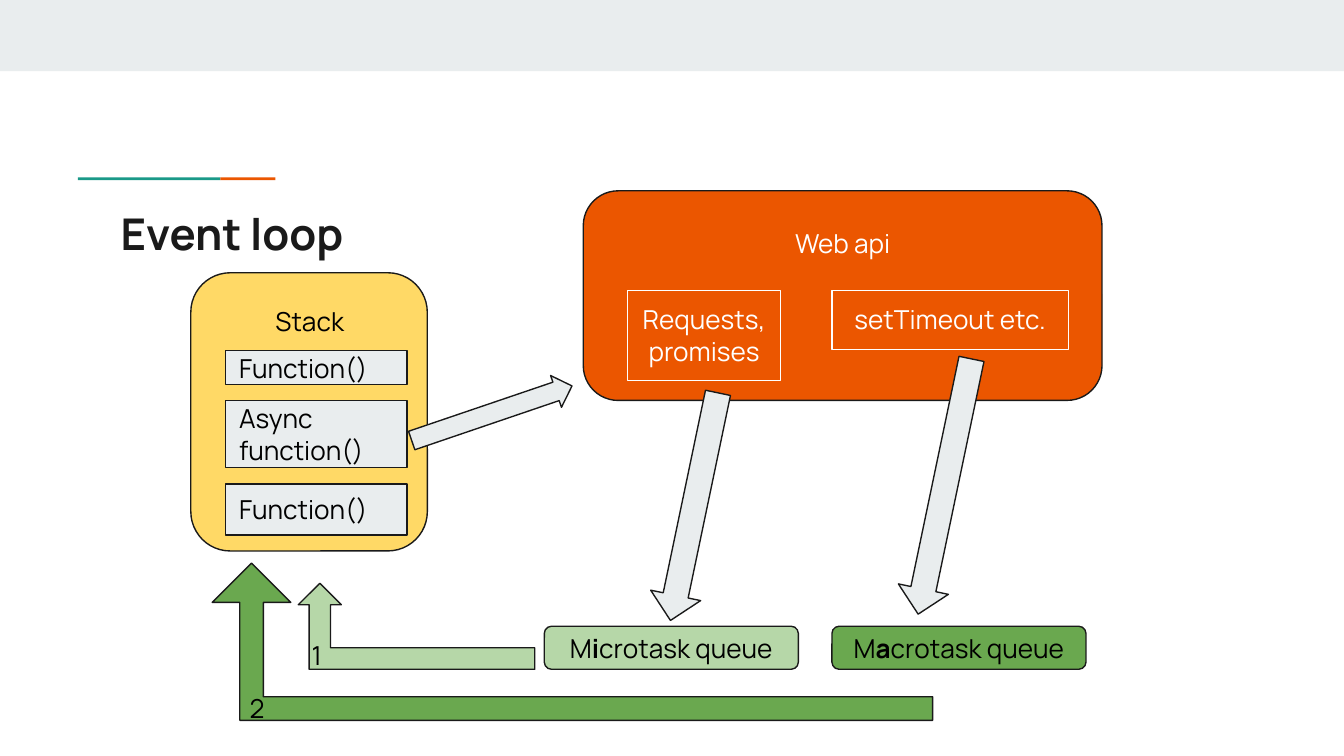
from dataclasses import dataclass

from pptx import Presentation
from pptx import util as u
from pptx.dml.color import RGBColor
from pptx.enum import shapes, text

PX = 9144  # EMU per px, 100 px to the inch
KIND = shapes.MSO_SHAPE


@dataclass(frozen=True)
class Theme:
    font: str = "Manrope"
    title_size: float = 23.4
    body_size: float = 14
    line_width: float = 0.75
    ink: str = "1A1A1A"
    black: str = "000000"
    white: str = "FFFFFF"
    mist: str = "E9EDEE"
    teal: str = "1A9988"
    orange: str = "EB5600"
    yellow: str = "FFD966"
    light_green: str = "B6D7A8"
    green: str = "6AA84F"


THEME = Theme()


def rgb(color):
    return RGBColor.from_string(color)


def place(box, left, top, width, height):
    """Turn a place inside a region into a place on the slide."""
    return box[0] + left, box[1] + top, width, height


def write(frame, runs, color=THEME.black, size=THEME.body_size,
          align=text.PP_ALIGN.LEFT, anchor=text.MSO_ANCHOR.TOP):
    """Write (wording, bold) runs; a newline in the wording breaks the line."""
    margins = {f"margin_{side}": 10 * PX for side in ("left", "top", "right", "bottom")}
    for name, value in {**margins, "word_wrap": True, "vertical_anchor": anchor}.items():
        setattr(frame, name, value)
    paragraph = frame.paragraphs[0]
    paragraph.alignment = align
    for wording, bold in runs:
        for number, line in enumerate(wording.split("\n")):
            if number:
                paragraph.add_line_break()
            run = paragraph.add_run()
            run.text = line
            for name, value in {"name": THEME.font, "size": u.Pt(size), "bold": bold}.items():
                setattr(run.font, name, value)
            run.font.color.rgb = rgb(color)


def add_label(slide, box, wording, bold=False, **style):
    label = slide.shapes.add_textbox(*(n * PX for n in box))
    write(label.text_frame, [(wording, bold)], **style)


def add_block(slide, kind, box, fill=None, line=THEME.ink, adjust=(), turn=0):
    block = slide.shapes.add_shape(kind, *(n * PX for n in box))
    block.shadow.inherit = False
    block.rotation = turn
    for number, value in enumerate(adjust):
        block.adjustments[number] = value
    if fill:
        block.fill.solid()
        block.fill.fore_color.rgb = rgb(fill)
    else:
        block.fill.background()
    if line:
        block.line.color.rgb = rgb(line)
        block.line.width = u.Pt(THEME.line_width)
    else:
        block.line.fill.background()
    return block


def add_header(slide, box):
    # Top band
    add_block(slide, KIND.RECTANGLE, place(box, 0, 0, box[2], 53), THEME.mist, None)
    # Two-colour rule
    for left, width, color in ((58, 106, THEME.teal), (164, 41, THEME.orange)):
        add_block(slide, KIND.RECTANGLE, place(box, left, 132, width, 2), color, None)
    # Title
    add_label(slide, place(box, 80, 144, 223, 59), "Event loop", bold=True,
              color=THEME.ink, size=THEME.title_size)


def add_stack(slide, box):
    add_block(slide, KIND.ROUNDED_RECTANGLE, box, THEME.yellow)
    add_label(slide, place(box, 34, 14, 109, 44), "Stack", align=text.PP_ALIGN.CENTER)
    # Calls, stacked with an equal gap
    top, gap = 58, 12
    for wording, height in (("Function()", 25), ("Async function()", 50), ("Function()", 38)):
        call = add_block(slide, KIND.RECTANGLE, place(box, 26, top, 135, height), THEME.mist)
        write(call.text_frame, [(wording, False)], anchor=text.MSO_ANCHOR.MIDDLE)
        top += height + gap


def add_web_api(slide, box):
    add_block(slide, KIND.ROUNDED_RECTANGLE, box, THEME.orange)
    style = {"color": THEME.white, "align": text.PP_ALIGN.CENTER}
    add_label(slide, place(box, 105, 17, 176, 44), "Web api", **style)
    # Outlined kinds of task
    for wording, left, width, height in (("Requests,\npromises", 33, 114, 67),
                                         ("setTimeout etc.", 185, 176, 44)):
        task = add_block(slide, KIND.RECTANGLE, place(box, left, 74, width, height),
                         line=THEME.white)
        write(task.text_frame, [(wording, False)], **style)


def add_queues(slide, box):
    for vowel, left, color in (("i", 0, THEME.light_green), ("a", 214, THEME.green)):
        queue = add_block(slide, KIND.ROUNDED_RECTANGLE,
                          place(box, left, 0, 189, box[3]), color)
        write(queue.text_frame, [("M", False), (vowel, True), ("crotask queue", False)],
              align=text.PP_ALIGN.CENTER, anchor=text.MSO_ANCHOR.MIDDLE)


def add_hand_offs(slide, box):
    # From the stack to the web api, then down to each queue
    for left, top, length, thickness, turn, shaft in (
            (0, 0, 126, 25, 341.2, 0.58),
            (127, 63, 173, 38, 101.8, 0.5),
            (303, 48, 194, 38, 101.8, 0.5)):
        add_block(slide, KIND.RIGHT_ARROW, place(box, left, top, length, thickness),
                  THEME.mist, adjust=(shaft, 0.5), turn=turn)


def add_returns(slide, box):
    # Bent arrows back to the stack, numbered by priority
    for order, arrow, number, color, shaft in (
            ("1", (64, 15, 176, 64), (64, 47, 23, 44), THEME.light_green, 0.25),
            ("2", (0, 0, 536, 117), (18, 86, 24, 44), THEME.green, 0.15)):
        bent = add_block(slide, KIND.BENT_UP_ARROW, place(box, *arrow), color,
                         adjust=(shaft, 0.25, 0.25))
        bent._element.spPr.xfrm.set("flipH", "1")
        add_label(slide, place(box, *number), order)


def main():
    deck = Presentation()
    deck.slide_width = 1000 * PX
    deck.slide_height = deck.slide_width * 9 // 16
    slide = deck.slides.add_slide(deck.slide_layouts[6])
    add_header(slide, (0, 0, 1000, 203))
    add_stack(slide, (142, 203, 176, 207))
    add_web_api(slide, (434, 142, 386, 156))
    add_queues(slide, (405, 466, 403, 32))
    add_hand_offs(slide, (303, 295, 497, 101))
    add_returns(slide, (158, 419, 536, 130))
    deck.save("out.pptx")


if __name__ == "__main__":
    main()
